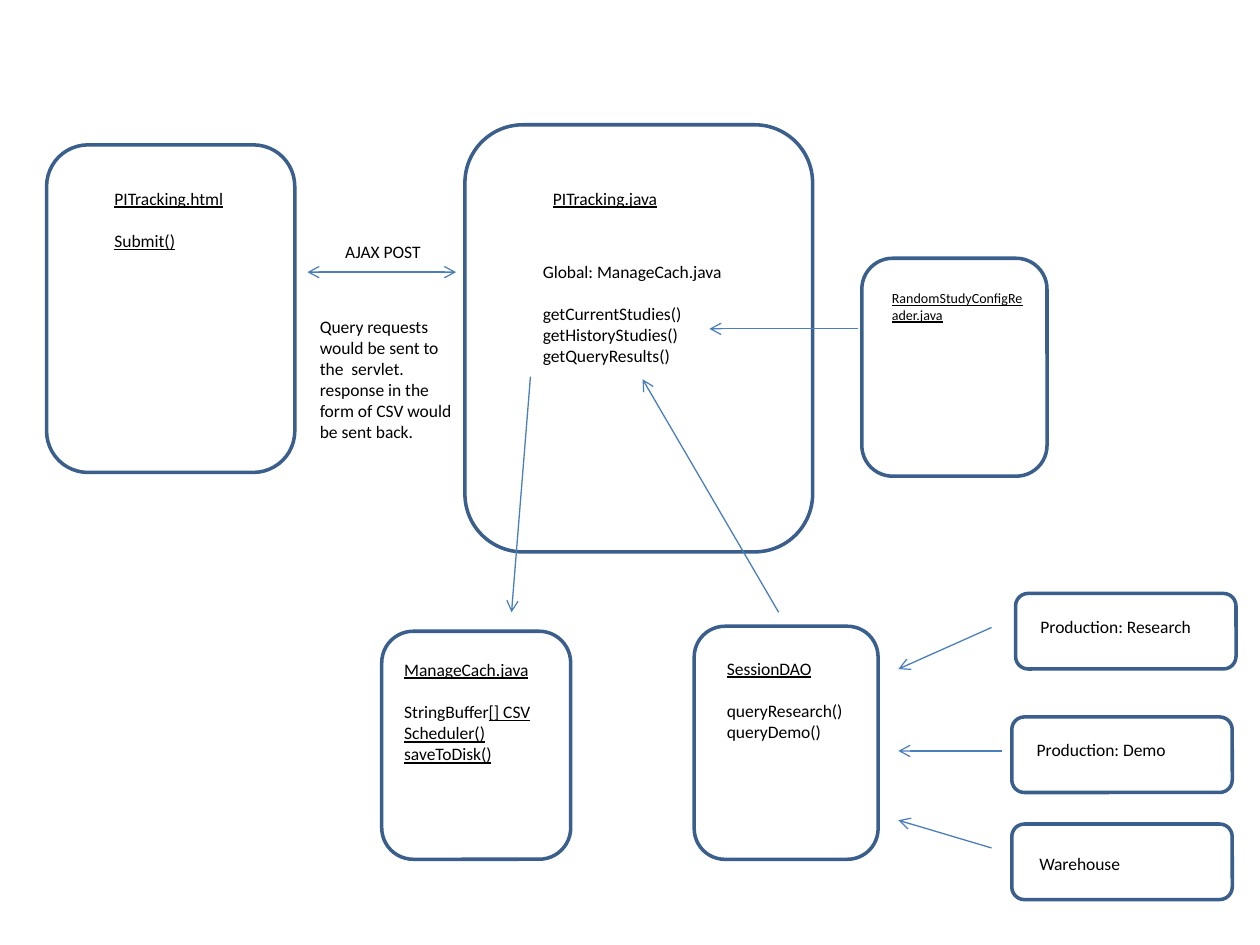
"""Draw the class and data flow diagram of the PITracking servlet."""
from dataclasses import dataclass

from lxml.etree import SubElement
from pptx import Presentation
from pptx.dml.color import RGBColor
from pptx.enum.shapes import MSO_CONNECTOR, MSO_SHAPE
from pptx.enum.text import MSO_AUTO_SIZE
from pptx.oxml.ns import qn
from pptx.util import Inches, Pt


@dataclass(frozen=True)
class Theme:
    font: str = "Calibri"
    text: RGBColor = RGBColor(0x00, 0x00, 0x00)
    frame: RGBColor = RGBColor(0x3A, 0x5F, 0x8C)
    arrow: RGBColor = RGBColor(0x4B, 0x7E, 0xBC)
    frame_width: float = 2
    arrow_width: float = 0.75
    body_size: int = 10
    small_size: int = 8
    section_gap: float = 12.2


theme = Theme()
deck = Presentation()
deck.slide_width, deck.slide_height = Inches(10), Inches(7.5)
page = deck.slides.add_slide(deck.slide_layouts[6])
column = deck.slide_width / 100
row = deck.slide_height / 75


def place(*cells):
    """Turn alternating column and row counts into slide lengths."""
    return [round(cell * (row if index % 2 else column)) for index, cell in enumerate(cells)]


frames = [
    (3.7, 11.5, 19.7, 26),
    (36.9, 9.9, 27.6, 33.9),
    (30.3, 50.1, 15, 18.1),
    (55.1, 49.7, 14.6, 18.5),
    (68.4, 20.5, 14.7, 17.3),
    (80.6, 47.1, 17.5, 6),
    (80.3, 56.9, 17.5, 6),
    (80.3, 65.4, 17.5, 6),
]
for cells in frames:
    frame = page.shapes.add_shape(MSO_SHAPE.ROUNDED_RECTANGLE, *place(*cells))
    frame.shadow.inherit = False
    frame.fill.background()
    frame.line.color.rgb = theme.frame
    frame.line.width = Pt(theme.frame_width)

arrows = [
    ((24.4, 21.6, 36.2, 21.6), ("headEnd", "tailEnd")),
    ((42.1, 29.9, 40.6, 48.6), ("tailEnd",)),
    ((61.8, 48.6, 51, 30.1), ("tailEnd",)),
    ((68.1, 26.1, 56.3, 26.1), ("tailEnd",)),
    ((78.7, 49.8, 71.3, 53.1), ("tailEnd",)),
    ((79.5, 59.6, 71.3, 59.6), ("tailEnd",)),
    ((78.7, 67.3, 71.3, 65.1), ("tailEnd",)),
]
for cells, ends in arrows:
    arrow = page.shapes.add_connector(MSO_CONNECTOR.STRAIGHT, *place(*cells))
    arrow.line.color.rgb = theme.arrow
    arrow.line.width = Pt(theme.arrow_width)
    for end in ends:
        SubElement(arrow.line._get_or_add_ln(), qn(f"a:{end}"), type="arrow")
    SubElement(arrow._element.spPr, qn("a:effectLst"))

body, small = theme.body_size, theme.small_size
notes = [
    ((8.1, 14.4, 11, 6.1), body, [["|PITracking.html"], ["|Submit()"]]),
    ((42.9, 14.4, 16.5, 2.7), body, [["|PITracking.java"]]),
    ((26.4, 18.6, 8.7, 2.7), body, [["AJAX POST"]]),
    ((24.4, 24.6, 12.6, 11.1), body, [[
        "Query requests would be sent to the  servlet. "
        "response in the form of CSV would be sent back."]]),
    ((42.1, 20.2, 19.7, 19.5), body, [
        ["Global: ManageCach.java"],
        ["getCurrentStudies()", "getHistoryStudies()", "getQueryResults()"]]),
    ((31.1, 51.8, 13.4, 9.4), body, [
        ["|ManageCach.java"],
        ["StringBuffer|[] CSV", "|Scheduler()", "|saveToDisk()"]]),
    ((56.7, 51.7, 11.8, 9.4), body, [
        ["|SessionDAO"], ["queryResearch()", "queryDemo()"]]),
    ((69.8, 22.5, 12.5, 3.7), small, [["|RandomStudyConfigReader.java"]]),
    ((81.6, 48.4, 15, 2.7), body, [["Production: Research"]]),
    ((81.3, 58.2, 15, 2.7), body, [["Production: Demo"]]),
    ((81.5, 67.2, 15, 2.7), body, [["Warehouse"]]),
]
for cells, size, sections in notes:
    box = page.shapes.add_textbox(*place(*cells))
    frame = box.text_frame
    frame.word_wrap = True
    frame.auto_size = MSO_AUTO_SIZE.SHAPE_TO_FIT_TEXT
    lines = [(line, section > 0 and index == 0)
             for section, group in enumerate(sections)
             for index, line in enumerate(group)]
    for number, (line, opens_section) in enumerate(lines):
        para = frame.add_paragraph() if number else frame.paragraphs[0]
        if opens_section:
            para.space_before = Pt(theme.section_gap)
        plain, _, underlined = line.partition("|")
        for words, underline in ((plain, False), (underlined, True)):
            if words:
                span = para.add_run()
                span.text = words
                span.font.name = theme.font
                span.font.size = Pt(size)
                span.font.color.rgb = theme.text
                span.font.underline = underline

deck.save("out.pptx")
